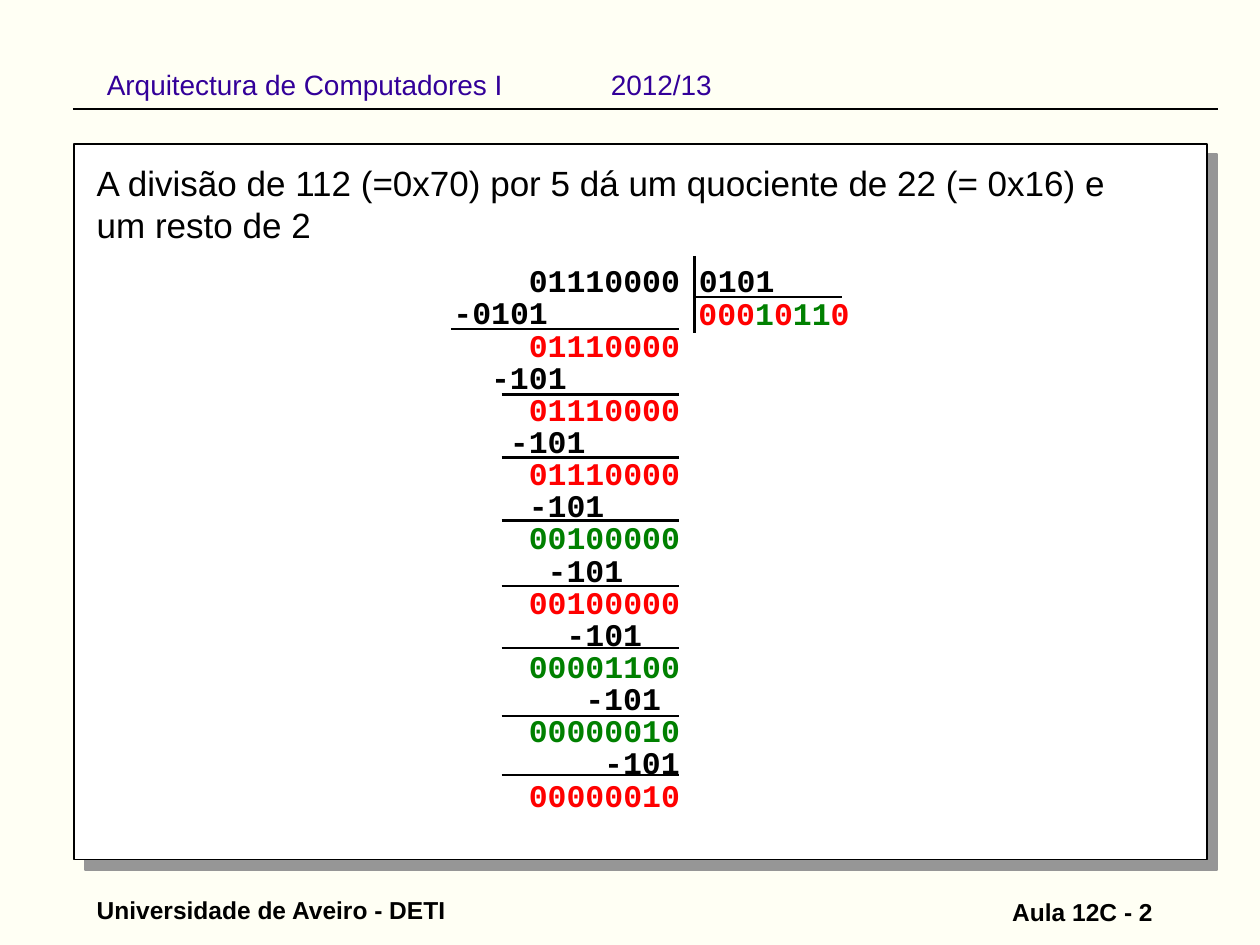
from lxml import etree
from pptx import Presentation
from pptx.dml.color import RGBColor
from pptx.enum.shapes import MSO_CONNECTOR, MSO_SHAPE
from pptx.enum.text import MSO_ANCHOR, PP_ALIGN
from pptx.oxml.ns import qn
from pptx.util import Cm, Pt

STRAIGHT = MSO_CONNECTOR.STRAIGHT
RECTANGLE = MSO_SHAPE.RECTANGLE
LEFT, RIGHT = PP_ALIGN.LEFT, PP_ALIGN.RIGHT
TOP, MIDDLE = MSO_ANCHOR.TOP, MSO_ANCHOR.MIDDLE

IVORY = RGBColor(0xFF, 0xFF, 0xF4)
WHITE = RGBColor(0xFF, 0xFF, 0xFF)
BLACK = RGBColor(0, 0, 0)
RED = RGBColor(0xFF, 0, 0)
GREEN = RGBColor(0, 0x80, 0)
INDIGO = RGBColor(0x33, 0, 0x99)
SHADOW = "969696"

# Content
HEADER = "Arquitectura de Computadores I\t2012/13"
STATEMENT = ("A divisão de 112 (=0x70) por 5 dá um quociente de 22 "
             "(= 0x16) e um resto de 2")
FOOTERS = [  # text, left, top, width, alignment
    ("Universidade de Aveiro - DETI", 1.7, 17.92, 8.53, LEFT),
    ("Aula 12C - 2", 18.21, 17.95, 5.28, RIGHT),
]
# Long division: indent in characters, then coloured pieces
FIRST_STEPS = [
    (4, [("01110000 0101", BLACK)]),
    (0, [("-0101", BLACK)]),
]
QUOTIENT = [(0, [("000", RED), ("1", GREEN), ("0", RED),
                 ("11", GREEN), ("0", RED)])]
REMAINDERS = [
    ("01110000", RED), ("01110000", RED), ("01110000", RED),
    ("00100000", GREEN), ("00100000", RED), ("00001100", GREEN),
    ("00000010", GREEN), ("00000010", RED),
]
DIVISOR = "-101"

# Character grid of the division, in cm
GRID_LEFT, GRID_TOP = 8.89, 5.26
CHARACTER = 0.38
ROW = 0.65
QUOTIENT_COLUMN = 13

# Lines, in cm: x1, y1, x2, y2
HEADER_LINE = (1.47, 2.19, 24.56, 2.19)
DIVISION_BRACKET = [(14, 5.16, 14, 6.71), (14, 5.99, 16.97, 5.99)]
FIRST_RULE = (9.09, 6.63, 13.69, 6.63)
RULE_HEIGHTS = [7.95, 9.22, 10.49, 11.81, 13.06, 14.43, 15.62]


def add_run(paragraph, text, size, color, font="Arial", bold=False):
    run = paragraph.add_run()
    run.text = text
    run.font.name = font
    run.font.size = Pt(size)
    run.font.bold = bold
    run.font.color.rgb = color


def add_text_box(slide, left, top, width, height):
    frame = slide.shapes.add_textbox(
        Cm(left), Cm(top), Cm(width), Cm(height)).text_frame
    frame.word_wrap = True
    frame.vertical_anchor = TOP
    return frame


def add_line(slide, ends, weight):
    line = slide.shapes.add_connector(STRAIGHT, *map(Cm, ends))
    line.line.color.rgb = BLACK
    line.line.width = Pt(weight)
    etree.SubElement(line._element.spPr, qn("a:effectLst"))


def add_panel(slide):
    panel = slide.shapes.add_shape(
        RECTANGLE, Cm(1.5), Cm(2.9), Cm(22.83), Cm(14.43))
    panel.fill.solid()
    panel.fill.fore_color.rgb = WHITE
    panel.line.color.rgb = BLACK
    panel.line.width = Pt(1)
    panel.shadow.inherit = False
    effects = panel._element.spPr.find(qn("a:effectLst"))
    shadow = etree.SubElement(effects, qn("a:outerShdw"), dist=str(Pt(8.5)),
                              dir="2700000", algn="ctr", rotWithShape="0")
    etree.SubElement(shadow, qn("a:srgbClr"), val=SHADOW)


def add_header(slide):
    title = slide.shapes.title
    title.left, title.top = Cm(1.9), Cm(0.64)
    title.width, title.height = Cm(21.59), Cm(2.11)
    title.text_frame.vertical_anchor = MIDDLE
    title.text_frame.word_wrap = True
    paragraph = title.text_frame.paragraphs[0]
    paragraph.alignment = LEFT
    tabs = etree.SubElement(paragraph._p.get_or_add_pPr(), qn("a:tabLst"))
    etree.SubElement(tabs, qn("a:tab"), pos=str(Cm(10.16)), algn="l")
    add_run(paragraph, HEADER, 16, INDIGO)
    add_line(slide, HEADER_LINE, 1)


def write_steps(frame, steps):
    for index, (indent, pieces) in enumerate(steps):
        paragraph = frame.add_paragraph() if index else frame.paragraphs[0]
        paragraph.line_spacing = 0.85
        properties = paragraph._p.get_or_add_pPr()
        properties.set("marL", str(Cm(indent * CHARACTER)))
        properties.set("indent", "0")
        for text, color in pieces:
            add_run(paragraph, text, 18, color, "Courier New", True)


def add_division(slide):
    steps = list(FIRST_STEPS)
    for index, (remainder, color) in enumerate(REMAINDERS):
        steps.append((4, [(remainder, color)]))
        if index < len(REMAINDERS) - 1:
            steps.append((index + 2, [(DIVISOR, BLACK)]))
    write_steps(add_text_box(slide, GRID_LEFT, GRID_TOP, 11.99, 11.28), steps)

    # Quotient, on the second row under the divisor
    quotient_left = GRID_LEFT + QUOTIENT_COLUMN * CHARACTER
    write_steps(add_text_box(slide, quotient_left, GRID_TOP + ROW, 4, 0.9),
                QUOTIENT)

    rules = [(10.11, y, 13.69, y) for y in RULE_HEIGHTS]
    for ends in DIVISION_BRACKET + [FIRST_RULE] + rules:
        add_line(slide, ends, 1.5)


def main():
    presentation = Presentation()
    presentation.slide_width, presentation.slide_height = Cm(25.4), Cm(19.05)
    slide = presentation.slides.add_slide(presentation.slide_layouts[5])
    slide.background.fill.solid()
    slide.background.fill.fore_color.rgb = IVORY

    add_panel(slide)
    add_header(slide)

    # Footers
    for text, left, top, width, alignment in FOOTERS:
        paragraph = add_text_box(slide, left, top, width, 0.85).paragraphs[0]
        paragraph.alignment = alignment
        add_run(paragraph, text, 14, BLACK, bold=True)

    # Statement and worked division
    statement = add_text_box(slide, 1.7, 3.13, 21.01, 1.96)
    add_run(statement.paragraphs[0], STATEMENT, 20, BLACK)
    add_division(slide)

    presentation.save("out.pptx")


if __name__ == "__main__":
    main()
